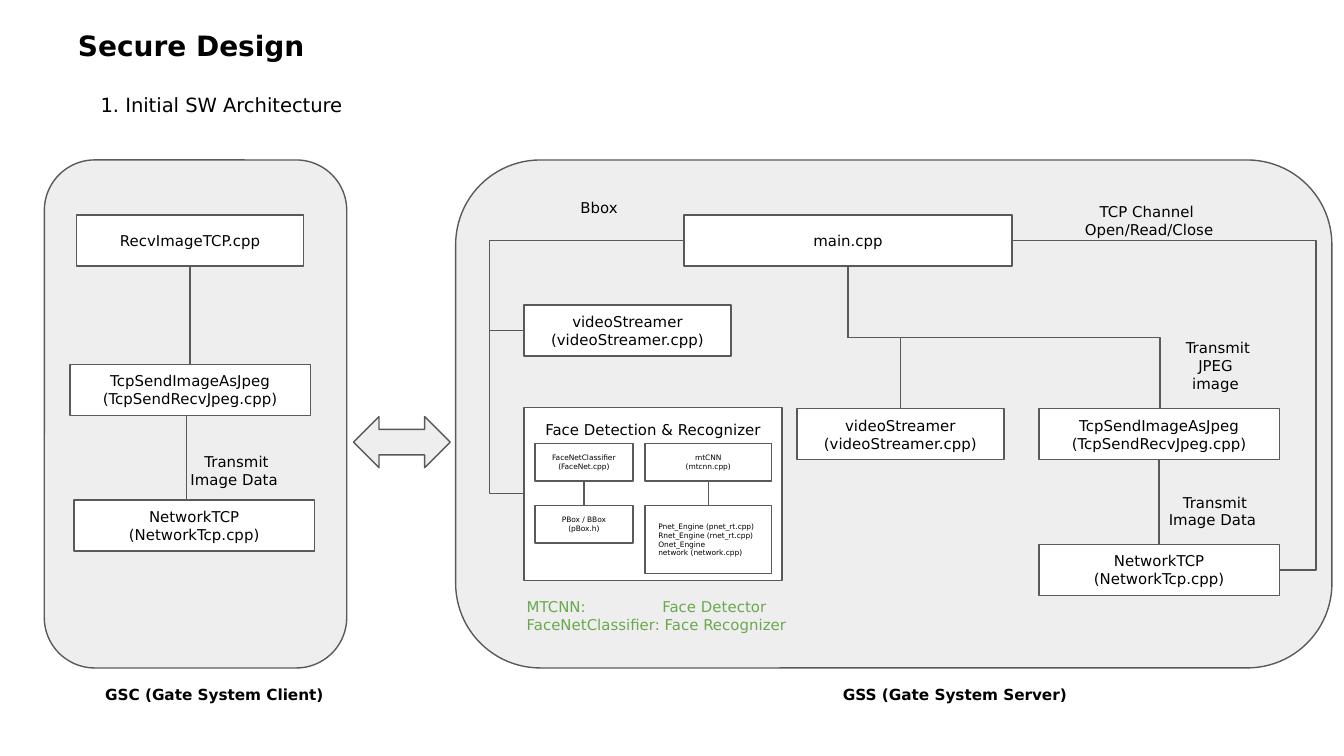
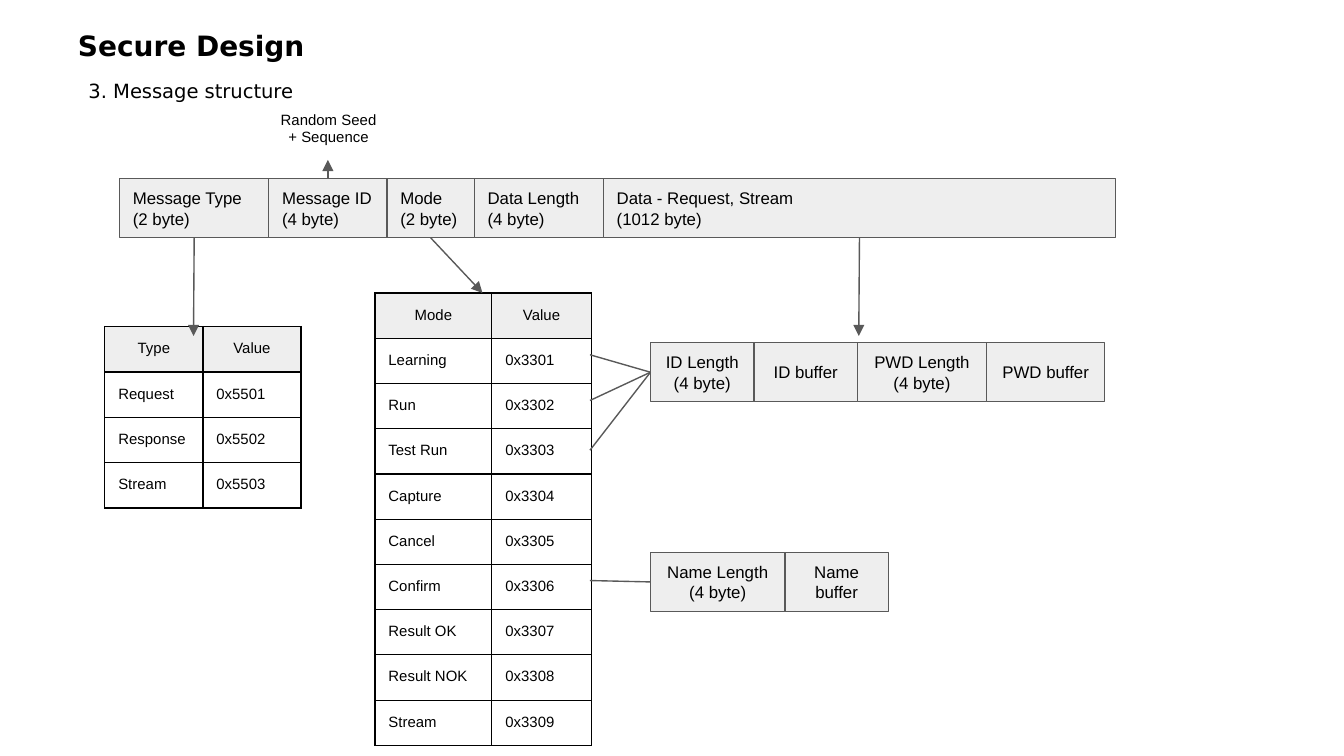
"""Builds the two Secure Design slides: software architecture and message structure."""
from lxml import etree
from pptx import Presentation
from pptx import util as u
from pptx.dml.color import RGBColor
from pptx.enum import shapes, text
from pptx.oxml import ns

COLORS = {"ink": "000000", "line": "595959", "panel": "EEEEEE",
          "box": "FFFFFF", "note": "6AA84F"}
SANS, ARIAL = "DejaVu Sans", "Arial"
LEFT, CENTER = text.PP_ALIGN.LEFT, text.PP_ALIGN.CENTER
TOP, MIDDLE = text.MSO_ANCHOR.TOP, text.MSO_ANCHOR.MIDDLE
FIXED, GROW = text.MSO_AUTO_SIZE.NONE, text.MSO_AUTO_SIZE.SHAPE_TO_FIT_TEXT
TOP_SIDE, LEFT_SIDE, BOTTOM_SIDE = 0, 1, 2


def rgb(name):
    """Return the palette colour called name."""
    return RGBColor.from_string(COLORS[name])


def add_xml(parent, tag, **attributes):
    """Append a DrawingML child to parent."""
    return etree.SubElement(parent, ns.qn(f"a:{tag}"), attributes)


def write(frame, words, size=8, font=SANS, color="ink", bold=False, align=LEFT,
          anchor=TOP, inset=0.1, spacing=None, tab=None, fit=FIXED):
    """Fill a text frame with one paragraph per line of words."""
    frame.word_wrap = True
    frame.auto_size = fit
    frame.vertical_anchor = anchor
    frame.margin_left = frame.margin_right = u.Inches(0.1)
    frame.margin_top = frame.margin_bottom = u.Inches(inset)
    for number, line in enumerate(words.split("\n")):
        paragraph = frame.add_paragraph() if number else frame.paragraphs[0]
        paragraph.alignment = align
        if spacing:
            paragraph.line_spacing = spacing
        if tab:
            stops = add_xml(paragraph._p.get_or_add_pPr(), "tabLst")
            add_xml(stops, "tab", pos=str(u.Inches(tab)), algn="l")
        run = paragraph.add_run()
        run.text = line
        run.font.size, run.font.name, run.font.bold = u.Pt(size), font, bold
        run.font.color.rgb = rgb(color)


def inches(*lengths):
    """Convert several lengths to EMU."""
    return [u.Inches(length) for length in lengths]


def add_label(slide, at, words, **style):
    """Place free text that sizes its box on the slide."""
    label = slide.shapes.add_textbox(*inches(*at))
    write(label.text_frame, words, fit=GROW, **style)


def add_block(slide, at, words="", fill="box",
              kind=shapes.MSO_SHAPE.RECTANGLE, **style):
    """Place an outlined shape, with text when words are given."""
    block = slide.shapes.add_shape(kind, *inches(*at))
    block.shadow.inherit = False
    block.fill.solid()
    block.fill.fore_color.rgb = rgb(fill)
    block.line.color.rgb = rgb("line")
    block.line.width = u.Pt(0.75)
    if words:
        write(block.text_frame, words,
              **{"align": CENTER, "anchor": MIDDLE, **style})
    return block


def add_wire(slide, kind, start, end):
    """Place a thin connector without shadow."""
    wire = slide.shapes.add_connector(kind, *inches(*start, *end))
    wire.line.color.rgb = rgb("line")
    wire.line.width = u.Pt(0.75)
    add_xml(wire._element.spPr, "effectLst")
    return wire


def add_link(slide, start=(0, 0), end=(0, 0), source=None, target=None, arrow=False):
    """Draw a straight link between points or (block, side) pairs."""
    link = add_wire(slide, shapes.MSO_CONNECTOR.STRAIGHT, start, end)
    if source:
        link.begin_connect(*source)
    if target:
        link.end_connect(*target)
    if arrow:
        add_xml(link.line._get_or_add_ln(), "tailEnd", type="triangle")


def add_side_elbow(slide, start, end, turn_x):
    """Draw an elbow that leaves sideways and turns at turn_x."""
    elbow = add_wire(slide, shapes.MSO_CONNECTOR.ELBOW, start, end)
    ratio = (turn_x - start[0]) / (end[0] - start[0])
    guides = elbow._element.spPr.find(".//" + ns.qn("a:avLst"))
    add_xml(guides, "gd", name="adj1", fmla=f"val {round(ratio * 100000)}")


def add_down_elbow(slide, start, end):
    """Draw an elbow that leaves downwards to the right and turns halfway."""
    across, down = end[0] - start[0], end[1] - start[1]
    middle_x, middle_y = (start[0] + end[0]) / 2, (start[1] + end[1]) / 2
    elbow = add_wire(slide, shapes.MSO_CONNECTOR.ELBOW,
                     (middle_x + down / 2, middle_y - across / 2),
                     (middle_x - down / 2, middle_y + across / 2))
    elbow._element.spPr.find(ns.qn("a:xfrm")).set("rot", str(270 * 60000))


def add_fields(slide, left, top, fields, **style):
    """Lay message fields side by side and return their blocks."""
    blocks = []
    for words, width in fields:
        blocks.append(add_block(slide, (left, top, width, 0.44), words,
                                fill="panel", size=9, font=ARIAL, **style))
        left += width
    return blocks


def write_cell(cell, words, heading):
    """Fill one bordered table cell."""
    write(cell.text_frame, words, font=ARIAL, align=CENTER if heading else LEFT)
    cell.margin_left = cell.margin_right = u.Inches(0.1)
    cell.margin_top = cell.margin_bottom = u.Inches(0.1)
    cell.vertical_anchor = TOP
    properties = cell._tc.get_or_add_tcPr()
    for side in ("lnL", "lnR", "lnT", "lnB"):
        border = add_xml(properties, side, w=str(u.Pt(0.75)))
        add_xml(add_xml(border, "solidFill"), "srgbClr", val=COLORS["ink"])
    if heading:
        cell.fill.solid()
        cell.fill.fore_color.rgb = rgb("panel")
    else:
        cell.fill.background()


def add_codes(slide, left, top, height, widths, heading, first_code, names):
    """Place a table that gives consecutive hex codes to names."""
    rows = [(heading, "Value")]
    rows += [(name, f"0x{first_code + i:04X}") for i, name in enumerate(names)]
    table = slide.shapes.add_table(
        len(rows), 2, *inches(left, top, sum(widths), height)).table
    table.first_row = table.horz_banding = False
    for column, width in zip(table.columns, widths):
        column.width = u.Inches(width)
    for r, row in enumerate(rows):
        for c, words in enumerate(row):
            write_cell(table.cell(r, c), words, heading=r == 0)


def add_page(deck, subtitle, at):
    """Add a slide with the shared title and its own subtitle."""
    slide = deck.slides.add_slide(deck.slide_layouts[5])
    title = slide.shapes.title
    title.left, title.top, title.width, title.height = inches(0.48, 0.19, 8.62, 0.68)
    write(title.text_frame, "Secure Design", size=15, bold=True, inset=0.05, spacing=0.9)
    add_label(slide, at, subtitle, size=10.5)
    return slide


def add_client(slide):
    """Draw the gate system client."""
    add_block(slide, (0.33, 1.19, 2.25, 3.78), fill="panel",
              kind=shapes.MSO_SHAPE.ROUNDED_RECTANGLE)
    receiver = add_block(slide, (0.57, 1.6, 1.69, 0.38), "RecvImageTCP.cpp")
    sender = add_block(slide, (0.52, 2.71, 1.79, 0.38),
                       "TcpSendImageAsJpeg\n(TcpSendRecvJpeg.cpp)")
    add_block(slide, (0.55, 3.72, 1.79, 0.38), "NetworkTCP\n(NetworkTcp.cpp)")
    add_link(slide, source=(receiver, BOTTOM_SIDE), target=(sender, TOP_SIDE))
    add_link(slide, (1.39, 3.09), (1.39, 3.72))
    add_label(slide, (1.25, 3.27, 1.02, 0.47), "Transmit\nImage Data ", align=CENTER)
    add_label(slide, (0.47, 5.03, 2.25, 0.34), "GSC (Gate System Client)",
              size=8.2, bold=True, align=CENTER)


def add_recognizer(slide):
    """Draw the face detection and recognition block with its parts."""
    add_block(slide, (3.9, 3.03, 1.92, 1.29), "Face Detection & Recognizer", anchor=TOP)
    columns = [
        (3.98, 0.73, "FaceNetClassifier\n(FaceNet.cpp)", "PBox / BBox\n(pBox.h)", 0.28, CENTER),
        (4.8, 0.94, "mtCNN\n(mtcnn.cpp)",
         "Pnet_Engine (pnet_rt.cpp)\nRnet_Engine (rnet_rt.cpp)\n"
         "Onet_Engine\nnetwork (network.cpp)", 0.51, LEFT),
    ]
    for left, width, network, detail, height, align in columns:
        upper = add_block(slide, (left, 3.3, width, 0.28), network, size=4)
        lower = add_block(slide, (left, 3.76, width, height), detail, size=4, align=align)
        add_link(slide, source=(upper, BOTTOM_SIDE), target=(lower, TOP_SIDE))
    add_label(slide, (3.82, 4.35, 2.35, 0.47),
              "MTCNN:\tFace Detector\nFaceNetClassifier: Face Recognizer",
              color="note", tab=1.01)


def add_server(slide):
    """Draw the gate system server."""
    add_block(slide, (3.39, 1.19, 6.52, 3.78), fill="panel",
              kind=shapes.MSO_SHAPE.ROUNDED_RECTANGLE)
    add_block(slide, (5.09, 1.6, 2.44, 0.38), "main.cpp")
    for left, top in ((3.9, 2.27), (5.93, 3.04)):
        add_block(slide, (left, top, 1.54, 0.38), "videoStreamer\n(videoStreamer.cpp)")
    sender = add_block(slide, (7.73, 3.04, 1.79, 0.38),
                       "TcpSendImageAsJpeg\n(TcpSendRecvJpeg.cpp)")
    network = add_block(slide, (7.73, 4.05, 1.79, 0.38), "NetworkTCP\n(NetworkTcp.cpp)")
    add_recognizer(slide)
    add_link(slide, source=(sender, BOTTOM_SIDE), target=(network, TOP_SIDE))
    for target_x in (6.7, 8.63):
        add_down_elbow(slide, (6.31, 1.98), (target_x, 3.04))
    for bbox_y in (2.46, 3.67):
        add_side_elbow(slide, (5.09, 1.79), (3.9, bbox_y), 3.64)
    add_side_elbow(slide, (7.53, 1.79), (9.52, 4.24), 9.79)
    add_label(slide, (4.22, 1.41, 0.66, 0.34), "Bbox")
    add_label(slide, (8.48, 2.42, 1.13, 0.61), " Transmit\nJPEG\n image ", align=CENTER)
    add_label(slide, (7.94, 1.41, 1.22, 0.47), "TCP Channel \nOpen/Read/Close", align=CENTER)
    add_label(slide, (8.53, 3.57, 1.02, 0.47), "Transmit\nImage Data ", align=CENTER)
    add_label(slide, (6, 5.03, 2.25, 0.34), "GSS (Gate System Server) ",
              size=8.2, bold=True, align=CENTER)


def add_architecture(deck):
    """Build the software architecture slide."""
    slide = add_page(deck, "1. Initial SW Architecture", (0.65, 0.6, 5.17, 0.38))
    add_block(slide, (2.63, 3.1, 0.72, 0.38), fill="panel",
              kind=shapes.MSO_SHAPE.LEFT_RIGHT_ARROW)
    add_server(slide)
    add_client(slide)


def add_message_structure(deck):
    """Build the message structure slide."""
    slide = add_page(deck, "3. Message structure", (0.56, 0.5, 6.35, 0.38))
    message_type, message_id, mode, _, data = add_fields(slide, 0.89, 1.33, [
        ("Message Type\n(2 byte)", 1.11), ("Message ID\n(4 byte)", 0.88),
        ("Mode\n(2 byte)", 0.65), ("Data Length\n(4 byte)", 0.96),
        ("Data - Request, Stream\n(1012 byte)", 3.81)], align=LEFT)
    add_label(slide, (1.89, 0.72, 1.11, 0.47), "Random Seed\n+ Sequence",
              font=ARIAL, align=CENTER)
    add_codes(slide, 0.78, 2.43, 1.35, (0.73, 0.73), "Type", 0x5501,
              ["Request", "Response", "Stream"])
    add_codes(slide, 2.79, 2.18, 3.37, (0.87, 0.74), "Mode", 0x3301,
              ["Learning", "Run", "Test Run", "Capture", "Cancel",
               "Confirm", "Result OK", "Result NOK", "Stream"])
    for field, side, tip in ((message_type, BOTTOM_SIDE, (1.44, 2.5)),
                             (message_id, TOP_SIDE, (2.44, 1.19)),
                             (mode, BOTTOM_SIDE, (3.59, 2.18)),
                             (data, BOTTOM_SIDE, (6.39, 2.5))):
        add_link(slide, end=tip, source=(field, side), arrow=True)
    login = add_fields(slide, 4.84, 2.55, [
        ("ID Length\n(4 byte)", 0.77), ("ID buffer", 0.77),
        ("PWD Length\n(4 byte)", 0.96), ("PWD buffer", 0.88)])
    name = add_fields(slide, 4.84, 4.11, [
        ("Name Length\n(4 byte)", 1), ("Name buffer", 0.77)])
    for mode_y, fields in ((2.64, login), (2.98, login), (3.35, login), (4.32, name)):
        add_link(slide, (4.39, mode_y), target=(fields[0], LEFT_SIDE))


def main():
    """Build and save the deck."""
    deck = Presentation()
    deck.slide_width = u.Inches(10)
    deck.slide_height = u.Inches(10 * 9 / 16)
    add_architecture(deck)
    add_message_structure(deck)
    deck.save("out.pptx")


if __name__ == "__main__":
    main()
